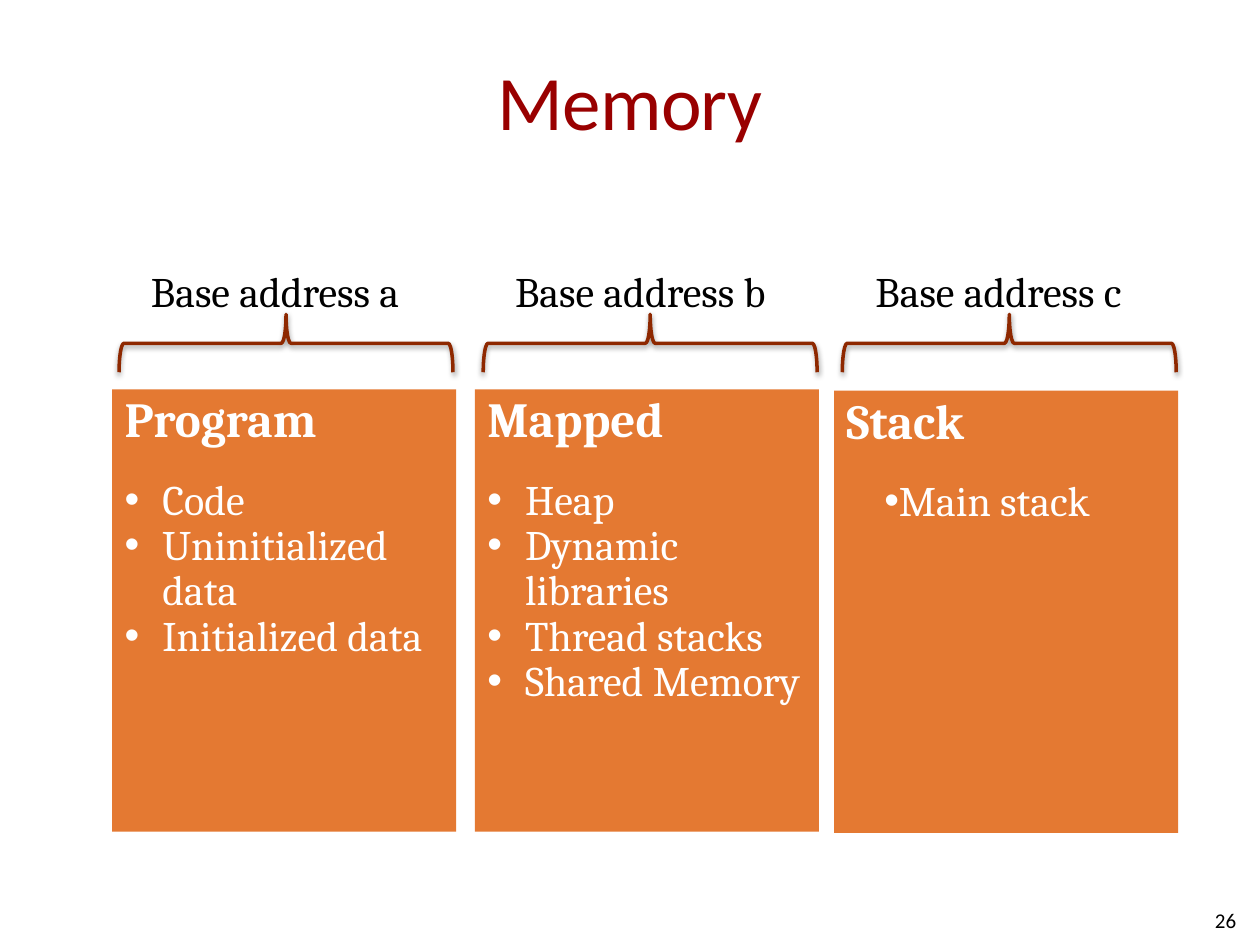
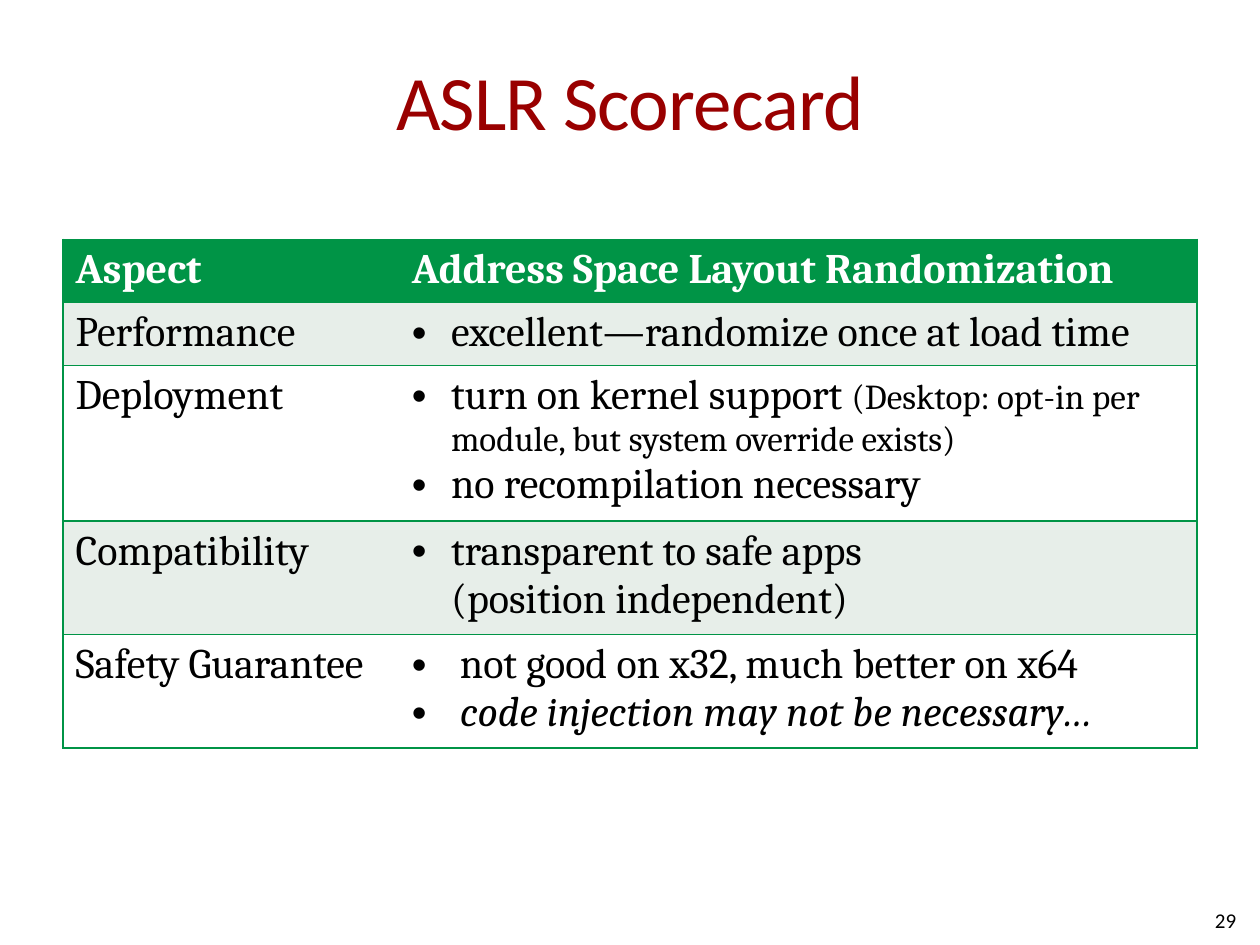
import pptx
import pptx.util
import pptx.dml.color
import pptx.enum.shapes
import pptx.enum.text
import pptx.oxml
from pptx.util import Inches

# Shared colours, fonts and XML namespace
TITLE_RED, ORANGE, BRACE_BROWN = "990000", "E47932", "8E2800"
GREEN, PALE_GREEN, WHITE, BLACK = "009446", "E7EEE9", "FFFFFF", "000000"
TITLE_FONT, BODY_FONT = "Calibri", "Cambria"
NAMESPACE = 'xmlns:a="http://schemas.openxmlformats.org/drawingml/2006/main"'
ALIGN = pptx.enum.text.PP_ALIGN
ANCHOR = pptx.enum.text.MSO_ANCHOR
SHAPE = pptx.enum.shapes.MSO_SHAPE


def color(hex_text):
    return pptx.dml.color.RGBColor.from_string(hex_text)


def style(para, size, hex_text=BLACK, font=BODY_FONT, bold=False, bullet=None):
    """Format every run; bullet is (left margin, first-line indent) in inches."""
    for span in para.runs:
        span.font.size = pptx.util.Pt(size)
        span.font.name = font
        span.font.bold = bold
        span.font.color.rgb = color(hex_text)
    if bullet:
        properties = para._p.get_or_add_pPr()
        properties.set("marL", str(Inches(bullet[0])))
        properties.set("indent", str(Inches(bullet[1])))
        for tag in ('buFont typeface="Arial"', 'buChar char="•"'):
            properties.append(pptx.oxml.parse_xml(f"<a:{tag} {NAMESPACE}/>"))


deck = pptx.Presentation()
deck.slide_width, deck.slide_height = Inches(10), Inches(7.5)

# Title and page number of each page
pages = []
for title_text, number in (("Memory", "26"), ("ASLR Scorecard", "29")):
    page = deck.slides.add_slide(deck.slide_layouts[5])
    pages.append(page)
    title = page.shapes.title
    title.left, title.top = Inches(0.5), Inches(0.17)
    title.width, title.height = Inches(9), Inches(1.25)
    frame = title.text_frame
    frame.text = title_text
    frame.margin_left = frame.margin_right = 0
    frame.vertical_anchor = ANCHOR.MIDDLE
    para = frame.paragraphs[0]
    para.alignment = ALIGN.CENTER
    style(para, 44, TITLE_RED, TITLE_FONT)
    para.runs[0]._r.get_or_add_rPr().set("spc", "-50")

    box = page.shapes.add_textbox(Inches(7.58), Inches(7.1), Inches(2.33), Inches(0.4))
    frame = box.text_frame
    frame.word_wrap = True
    frame.vertical_anchor = ANCHOR.MIDDLE
    frame.text = number
    frame.paragraphs[0].alignment = ALIGN.RIGHT
    style(frame.paragraphs[0], 12, font=TITLE_FONT)
memory_page, scorecard_page = pages

# Memory regions: left, top, brace left, label left, label, bullet, heading, items
hanging = (0.3, -0.3)
regions = [
    (0.89, 3.09, 2.04, 1.1, "Base address a", hanging, "Program",
     ["Code", "Uninitialized data", "Initialized data"]),
    (3.77, 3.09, 4.93, 3.99, "Base address b", hanging, "Mapped",
     ["Heap", "Dynamic libraries", "Thread stacks", "Shared Memory"]),
    (6.62, 3.1, 7.78, 6.85, "Base address c", (0, 0.3), "Stack", ["Main stack"]),
]
for left, top, brace_left, label_left, label, bullet, heading, items in regions:
    # Region block
    block = memory_page.shapes.add_shape(
        SHAPE.RECTANGLE, Inches(left), Inches(top), Inches(2.73), Inches(3.51))
    block.shadow.inherit = False
    block.fill.solid()
    block.fill.fore_color.rgb = color(ORANGE)
    block.line.fill.background()
    frame = block.text_frame
    frame.word_wrap = True
    frame.vertical_anchor = ANCHOR.TOP
    frame.text = "\n".join([heading] + items)
    for index, para in enumerate(frame.paragraphs):
        para.alignment = ALIGN.LEFT
        para.line_spacing = 1.5 if index == 1 else 0.9
        if index == 0:
            style(para, 28, WHITE, bold=True)
        else:
            style(para, 24, WHITE, bullet=bullet)

    # Brace above the block
    brace = memory_page.shapes.add_shape(
        SHAPE.LEFT_BRACE, Inches(brace_left), Inches(1.4), Inches(0.46), Inches(2.65))
    brace.rotation = 90
    brace.fill.background()
    brace.line.color.rgb = color(BRACE_BROWN)
    brace.line.width = pptx.util.Pt(2)
    brace.shadow.inherit = False
    brace._element.spPr.find(pptx.oxml.ns.qn("a:effectLst")).append(pptx.oxml.parse_xml(
        f'<a:outerShdw {NAMESPACE} blurRad="40000" dist="20000" dir="5400000" '
        f'rotWithShape="0"><a:srgbClr val="{BLACK}"><a:alpha val="38000"/>'
        '</a:srgbClr></a:outerShdw>'))

    # Address label
    box = memory_page.shapes.add_textbox(
        Inches(label_left), Inches(2.06), Inches(2.33), Inches(0.5))
    box.text_frame.word_wrap = False
    box.text_frame.text = label
    style(box.text_frame.paragraphs[0], 24)

# Scorecard: aspect, bullet indent, findings
scores = [
    ("Aspect", None, ["Address Space Layout Randomization"]),
    ("Performance", 0.31, ["excellent—randomize once at load time"]),
    ("Deployment", 0.31, ["turn on kernel support ", "no recompilation necessary"]),
    ("Compatibility", 0.31, ["transparent to safe apps\v(position independent)"]),
    ("Safety Guarantee", 0.38, ["not good on x32, much better on x64",
                                "code injection may not be necessary…"]),
]
table = scorecard_page.shapes.add_table(
    len(scores), 2, Inches(0.5), Inches(1.9), Inches(9), Inches(3.89)).table
for column, width in zip(table.columns, (2.67, 6.33)):
    column.width = Inches(width)
for row, height in zip(table.rows, (0.48, 0.48, 1.19, 0.87, 0.87)):
    row.height = Inches(height)

for row_index, (aspect, indent, findings) in enumerate(scores):
    header = row_index == 0
    fill = GREEN if header else PALE_GREEN if row_index % 2 else WHITE
    for column_index, lines in enumerate(([aspect], findings)):
        cell = table.cell(row_index, column_index)
        # Green borders, none between the two columns
        inner_side = "lnL" if column_index else "lnR"
        for side in ("lnL", "lnR", "lnT", "lnB"):
            paint = ("<a:noFill/>" if side == inner_side else
                     f'<a:solidFill><a:srgbClr val="{GREEN}"/></a:solidFill>')
            cell._tc.get_or_add_tcPr().append(pptx.oxml.parse_xml(
                f'<a:{side} {NAMESPACE} w="12700">{paint}</a:{side}>'))
        cell.fill.solid()
        cell.fill.fore_color.rgb = color(fill)
        frame = cell.text_frame
        for line_index, line in enumerate(lines):
            para = frame.add_paragraph() if line_index else frame.paragraphs[0]
            para.text = line
            bullet = (indent, -indent) if column_index and indent else None
            style(para, 24, WHITE if header else BLACK, bold=header, bullet=bullet)

# Smaller remark and emphasis
para = table.cell(2, 1).text_frame.paragraphs[0]
remark = para.add_run()
remark.text = "(Desktop: opt-in per module, but system override exists)"
style(para, 24)
remark.font.size = pptx.util.Pt(20)
table.cell(4, 1).text_frame.paragraphs[1].runs[0].font.italic = True

deck.save("out.pptx")
